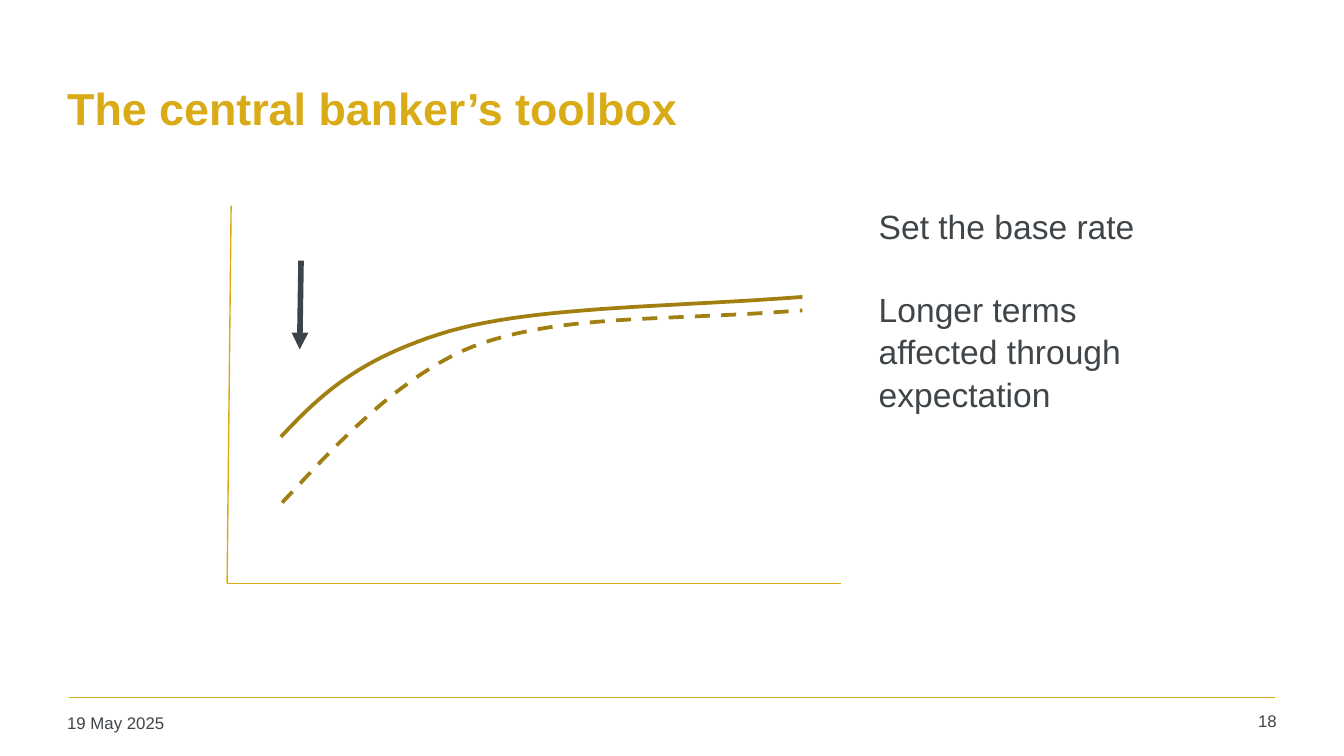
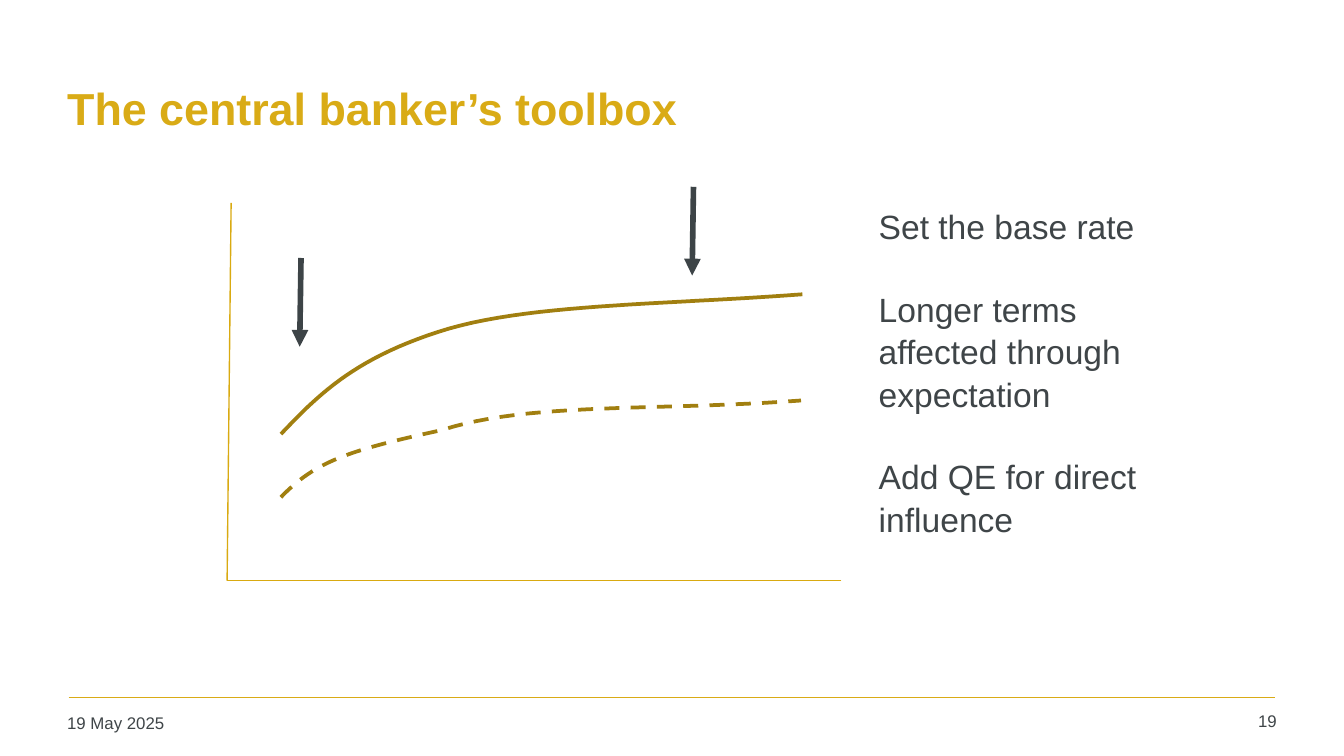
from pptx import Presentation
from pptx.dml.color import RGBColor
from pptx.enum.dml import MSO_LINE
from pptx.enum.shapes import MSO_CONNECTOR
from pptx.enum.text import MSO_ANCHOR, MSO_AUTO_SIZE, PP_ALIGN
from pptx.oxml.ns import qn
from pptx.util import Inches, Pt
from lxml import etree

STRAIGHT = MSO_CONNECTOR.STRAIGHT
DASH = MSO_LINE.DASH
MIDDLE = MSO_ANCHOR.MIDDLE
GROW = MSO_AUTO_SIZE.SHAPE_TO_FIT_TEXT
LEFT, RIGHT = PP_ALIGN.LEFT, PP_ALIGN.RIGHT

COLS, ROWS = 100, 56.25
WIDE, HIGH = Inches(10), Inches(5.625)
STEPS = 24
GOLD, AXIS, CURVE = "D9AB16", "D9AA11", "A17F10"
INK, ARROW = "3F4548", "3D4447"
FONT = "Arial"
TIGHT = dict(margin_left=Inches(0.07), margin_right=Inches(0.07),
             margin_top=Inches(0.04), margin_bottom=Inches(0.04))
HEAD = dict(TIGHT, vertical_anchor=MIDDLE, word_wrap=True)
FOOT = dict(TIGHT, word_wrap=True)
BODY = dict(word_wrap=True, auto_size=GROW)


def tint(code):
    return RGBColor.from_string(code)


def apply(item, style):
    for name, value in style.items():
        setattr(item, name, value)


def bend(points):
    start, *rest = points
    track = [start]
    for k in range(0, len(rest), 3):
        knots = [track[-1], *rest[k:k + 3]]
        for n in range(1, STEPS + 1):
            t = n / STEPS
            parts = ((1 - t) ** 3, 3 * t * (1 - t) ** 2,
                     3 * t * t * (1 - t), t ** 3)
            track.append(tuple(sum(w * p[i] for w, p in zip(parts, knots))
                               for i in (0, 1)))
    return track


class Deck:
    def __init__(self):
        self.show = Presentation()
        apply(self.show, dict(slide_width=WIDE, slide_height=HIGH))
        self.slide = None

    def spot(self, col, row):
        return round(WIDE * col / COLS), round(HIGH * row / ROWS)

    def page(self, title, date, number):
        self.slide = self.show.slides.add_slide(self.show.slide_layouts[5])
        self.line((5.1, 51.9), (94.9, 51.9), GOLD, 1)
        head = self.slide.shapes.title
        self.place(head, (4.3, 3.3, 90.7, 9.4))
        self.letter(head, [title], HEAD, 24, GOLD, bold=True)
        self.text([date], (4.3, 52.6, 22, 2.7), FOOT, 9)
        self.text([number], (88.6, 52.5, 7.1, 2.8), FOOT, 9, align=RIGHT)

    def place(self, shape, box):
        left, top = self.spot(*box[:2])
        width, height = self.spot(*box[2:])
        apply(shape, dict(left=left, top=top, width=width, height=height))

    def letter(self, shape, lines, frame, size, color, bold=False,
               align=LEFT, lead=1.0, gap=0):
        body = shape.text_frame
        apply(body, frame)
        for k, words in enumerate(lines):
            para = body.add_paragraph() if k else body.paragraphs[0]
            apply(para, dict(alignment=align, line_spacing=lead,
                             space_before=Pt(gap if k else 0)))
            run = para.add_run()
            run.text = words
            apply(run.font, dict(name=FONT, size=Pt(size), bold=bold))
            run.font.color.rgb = tint(color)

    def text(self, lines, box, frame, size, **style):
        shape = self.slide.shapes.add_textbox(0, 0, 0, 0)
        self.place(shape, box)
        self.letter(shape, lines, frame, size, INK, **style)

    def pen(self, line, color, width, dash=None):
        line.color.rgb = tint(color)
        apply(line, dict(width=Pt(width), dash_style=dash))

    def line(self, start, end, color, width):
        link = self.slide.shapes.add_connector(
            STRAIGHT, *self.spot(*start), *self.spot(*end))
        self.pen(link.line, color, width)
        etree.SubElement(link.element.spPr, qn("a:effectLst"))
        return link

    def arrow(self, col, row):
        link = self.line((col + 0.1, row), (col, row + 6.6), ARROW, 3)
        edge = link.element.spPr.find(qn("a:ln"))
        etree.SubElement(edge, qn("a:tailEnd")).set("type", "triangle")

    def curve(self, points, dash=None):
        track = [self.spot(*p) for p in bend(points)]
        form = self.slide.shapes.build_freeform(*track[0])
        form.add_line_segments(track[1:], close=False)
        shape = form.convert_to_shape()
        shape.shadow.inherit = False
        shape.fill.background()
        self.pen(shape.line, CURVE, 2, dash)

    def plot(self, rise, dashed, arrows):
        base = (16.9, 43.4 - rise)
        self.line((17.2, 15.3 - rise), base, AXIS, 0.75)
        self.line((62.6, 43.4 - rise), base, AXIS, 0.75)
        self.curve([(x, y - rise) for x, y in YIELD])
        self.curve(dashed, DASH)
        for tip in arrows:
            self.arrow(*tip)


YIELD = [(20.9, 32.5), (23.5, 29.8), (26.1, 27), (32.6, 24.9),
         (39, 22.8), (49.2, 22.9), (59.7, 22.1)]
EASED = [(21, 37.4), (23.7, 34.6), (29.6, 27.6), (36, 25.5),
         (42.4, 23.4), (49.3, 23.9), (59.7, 23.1)]
BOUGHT = [(20.9, 37), (23.5, 34.3), (26, 33.5), (32.9, 32),
          (39.3, 29.9), (49.1, 30.6), (59.6, 29.8)]
TOOLS = ["Set the base rate", "Longer terms affected through expectation",
         "Add QE for direct influence"]
PAGES = [
    ("18", 0, EASED, [(22.3, 19.4)], TOOLS[:2], 19.2),
    ("19", 0.2, BOUGHT, [(22.3, 19.2), (51.5, 13.9)], TOOLS, 28.3),
]


def main():
    deck = Deck()
    for number, rise, dashed, arrows, tools, tall in PAGES:
        deck.page("The central banker’s toolbox", "19 May 2025", number)
        deck.plot(rise, dashed, arrows)
        deck.text(tools, (64.4, 14.7, 23.4, tall), BODY, 18,
                  lead=1.05, gap=21.6)
    deck.show.save("out.pptx")


if __name__ == "__main__":
    main()
